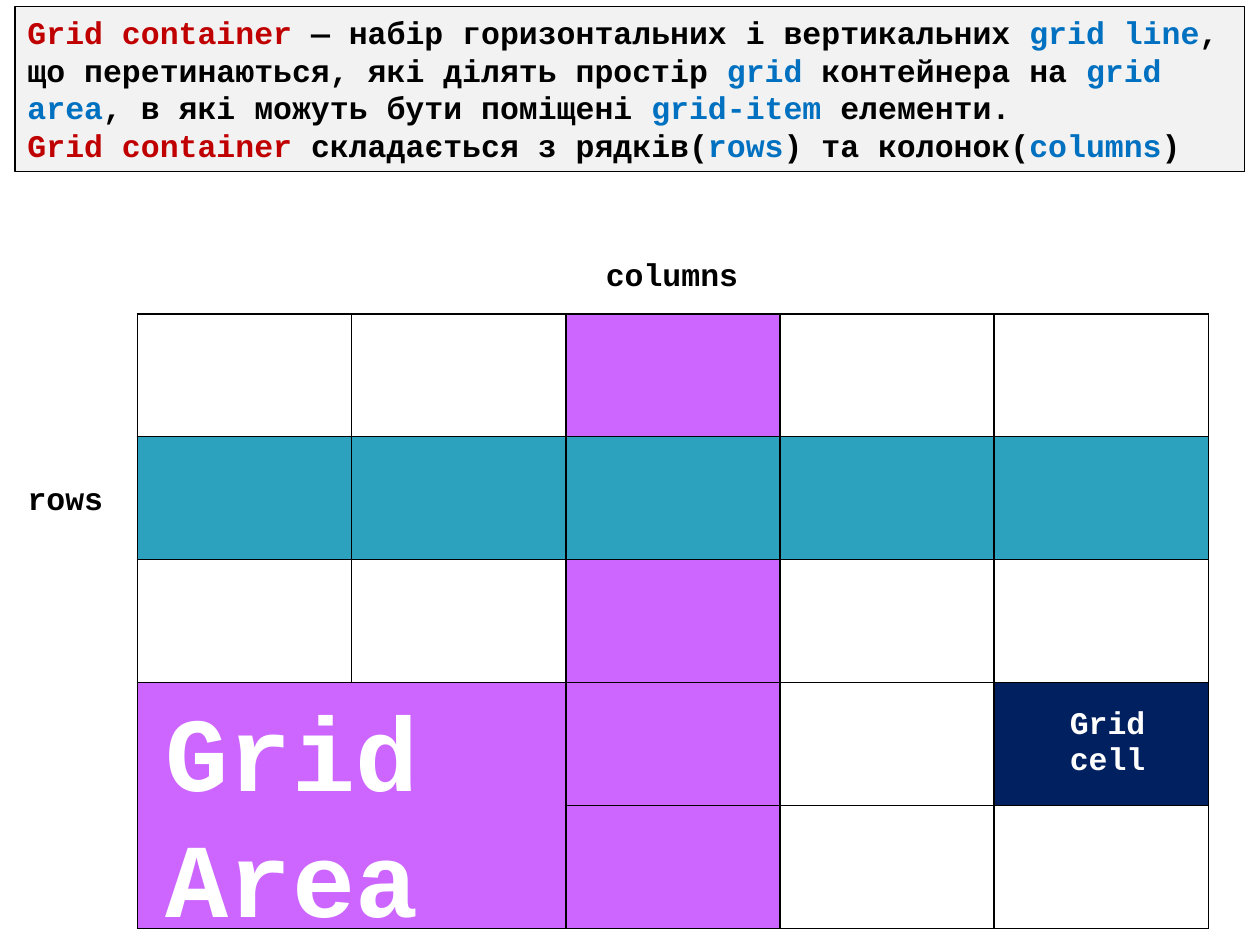
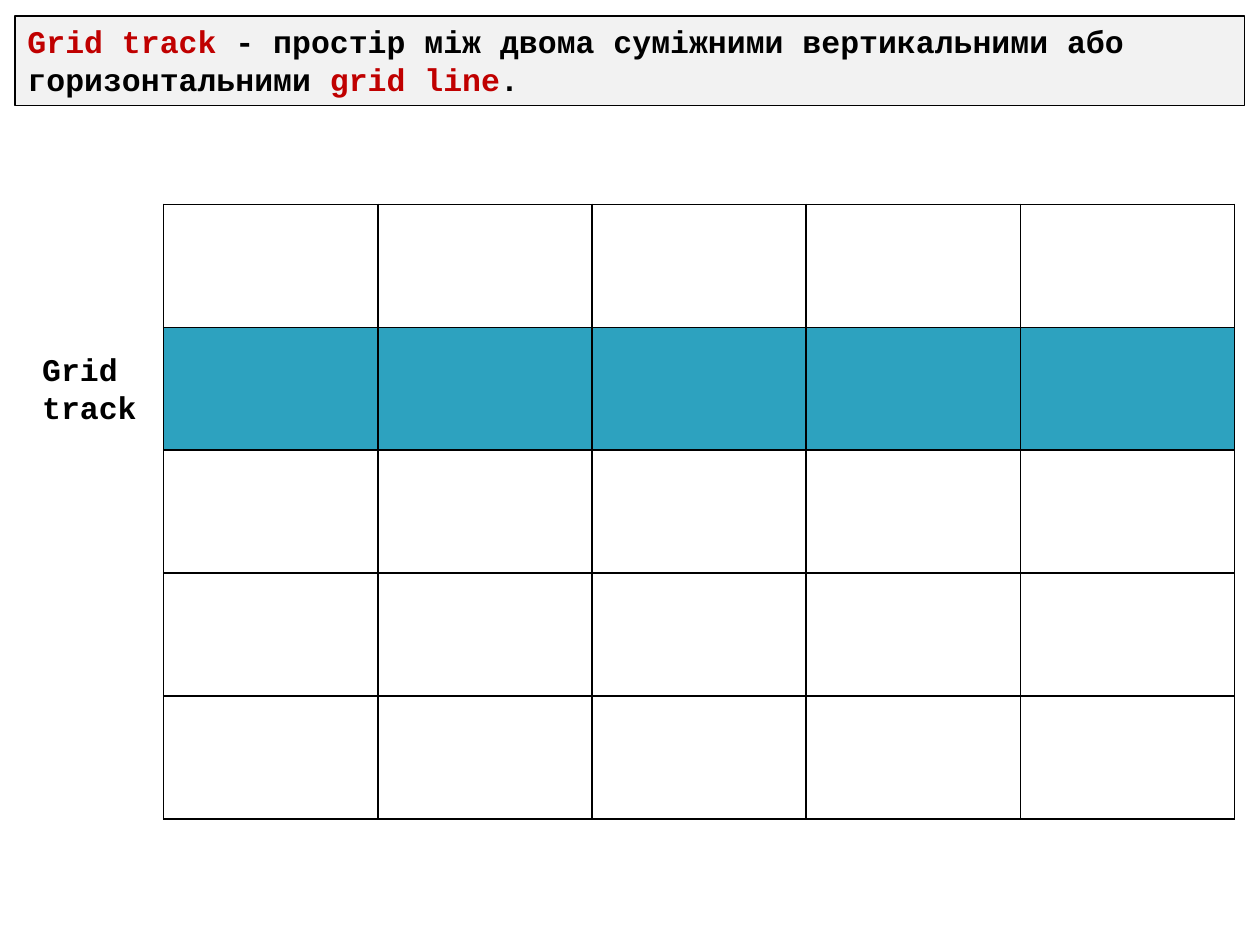
from lxml import etree
from pptx import Presentation
from pptx.dml.color import RGBColor
from pptx.enum import shapes, text
from pptx.oxml import ns
from pptx.util import Pt

# Shared style
COLOURS = {"black": "000000", "white": "FFFFFF", "red": "C00000", "blue": "0070C0",
           "band": "F2F2F2", "teal": "2DA2BF", "purple": "CC66FF", "navy": "002060"}
FONT, TEXT_SIZE = "Courier New", 18
BAND_LEFT, BAND_WIDTH = 8.64, 702.7
GRID_SIZE, CELL_WIDTH, CELL_HEIGHT = 5, 122.4, 70.27
SIDES = ("L", "R", "T", "B")

# Content: regions are (first row, last row, first column, last column, colour, opacity %);
# later regions cover earlier ones, and an area loses its inner lines
SLIDES = [
    {
        "band": (3.8, 94.3),
        "definition": [
            [("Grid container ", "red"), ("— набір горизонтальних і вертикальних ", "black"),
             ("grid line", "blue"), (", що перетинаються, які ділять простір ", "black"),
             ("grid ", "blue"), ("контейнера на ", "black"), ("grid area", "blue"),
             (", в які можуть бути поміщені ", "black"), ("grid-item ", "blue"),
             ("елементи.", "black")],
            [("Grid container ", "red"), ("складається з рядків(", "black"), ("rows", "blue"),
             (") та колонок(", "black"), ("columns", "blue"), (")", "black")],
        ],
        "grid": (78.5, 179.3),
        "regions": [(0, 4, 2, 2, "purple", 37), (1, 1, 0, 4, "teal", 75),
                    (3, 4, 0, 1, "purple", 100), (3, 3, 4, 4, "navy", 100)],
        "area": (3, 4, 0, 1),
        "cell_label": (3, 4, "Grid cell"),
        "labels": [(["columns"], (339.1, 142, 90.7, 29), TEXT_SIZE, "black"),
                   (["rows"], (8.64, 270, 58.3, 29), TEXT_SIZE, "black"),
                   (["Grid", "Area"], (87.8, 388.8, 196.6, 152.6), 60, "white")],
    },
    {
        "band": (9.2, 51),
        "definition": [
            [("Grid track ", "red"),
             ("- простір між двома суміжними вертикальними або горизонтальними ", "black"),
             ("grid line", "red"), (".", "black")],
        ],
        "grid": (93.5, 116.8),
        "regions": [(1, 1, 0, 4, "teal", 100)],
        "labels": [(["Grid", "track"], (17, 196.7, 69.1, 51), TEXT_SIZE, "black")],
    },
]


def rgb(name):
    return RGBColor.from_string(COLOURS[name])


def set_font(font, size=TEXT_SIZE, colour=None):
    font.name, font.size, font.bold = FONT, Pt(size), True
    if colour:
        font.color.rgb = rgb(colour)


def paragraphs(frame, count):
    return [frame.paragraphs[0]] + [frame.add_paragraph() for _ in range(count - 1)]


def add_band(page, top, height, definition):
    box = page.shapes.add_shape(shapes.MSO_SHAPE.RECTANGLE, Pt(BAND_LEFT), Pt(top),
                                Pt(BAND_WIDTH), Pt(height))
    box.shadow.inherit = False
    box.fill.solid()
    box.fill.fore_color.rgb = rgb("band")
    box.line.color.rgb = rgb("black")
    box.line.width = Pt(0.75)
    frame = box.text_frame
    frame.word_wrap = True
    frame.vertical_anchor = text.MSO_ANCHOR.TOP
    for para, spans in zip(paragraphs(frame, len(definition)), definition):
        para.alignment = text.PP_ALIGN.LEFT
        set_font(para.font)
        for words, colour in spans:
            span = para.add_run()
            span.text = words
            set_font(span.font, colour=colour)


def add_label(page, lines, place, size, colour):
    box = page.shapes.add_textbox(*map(Pt, place))
    frame = box.text_frame
    frame.word_wrap = False
    for para, line in zip(paragraphs(frame, len(lines)), lines):
        para.text = line
        set_font(para.font, size, colour)


def contains(region, row, column):
    top, bottom, left, right = region[:4]
    return top <= row <= bottom and left <= column <= right


def draw_borders(cell, hidden):
    properties = cell._tc.get_or_add_tcPr()
    for side in SIDES:
        line = etree.SubElement(properties, ns.qn("a:ln" + side), w=str(Pt(1)))
        if side in hidden:
            etree.SubElement(line, ns.qn("a:noFill"))
        else:
            fill = etree.SubElement(line, ns.qn("a:solidFill"))
            etree.SubElement(fill, ns.qn("a:srgbClr"), val=COLOURS["black"])


def fill_cell(cell, colour, opacity):
    cell.fill.solid()
    cell.fill.fore_color.rgb = rgb(colour)
    if opacity < 100:
        tint = cell._tc.tcPr.find(".//" + ns.qn("a:srgbClr"))
        etree.SubElement(tint, ns.qn("a:alpha"), val=str(opacity * 1000))


def inner_sides(area, row, column):
    if not area or not contains(area, row, column):
        return []
    neighbours = ((row, column - 1), (row, column + 1), (row - 1, column), (row + 1, column))
    return [side for side, place in zip(SIDES, neighbours) if contains(area, *place)]


def add_grid(page, left, top, regions, area):
    table = page.shapes.add_table(GRID_SIZE, GRID_SIZE, Pt(left), Pt(top),
                                  Pt(GRID_SIZE * CELL_WIDTH),
                                  Pt(GRID_SIZE * CELL_HEIGHT)).table
    table.first_row = table.horz_banding = False
    for column in table.columns:
        column.width = Pt(CELL_WIDTH)
    for row in table.rows:
        row.height = Pt(CELL_HEIGHT)
    for row in range(GRID_SIZE):
        for column in range(GRID_SIZE):
            cell = table.cell(row, column)
            draw_borders(cell, inner_sides(area, row, column))
            covering = [region for region in regions if contains(region, row, column)]
            if covering:
                fill_cell(cell, *covering[-1][4:])
            else:
                cell.fill.background()
    return table


def label_cell(table, row, column, words):
    cell = table.cell(row, column)
    cell.vertical_anchor = text.MSO_ANCHOR.MIDDLE
    para = cell.text_frame.paragraphs[0]
    para.text = words
    para.level = 1
    indent = para._p.get_or_add_pPr()
    indent.set("marL", str(Pt(36)))
    indent.set("indent", "0")
    set_font(para.font, colour="white")


def main():
    deck = Presentation()
    deck.slide_width, deck.slide_height = Pt(720), Pt(540)
    for content in SLIDES:
        page = deck.slides.add_slide(deck.slide_layouts[6])
        add_band(page, *content["band"], content["definition"])
        table = add_grid(page, *content["grid"], content["regions"], content.get("area"))
        if "cell_label" in content:
            label_cell(table, *content["cell_label"])
        for label in content["labels"]:
            add_label(page, *label)
    deck.save("out.pptx")


if __name__ == "__main__":
    main()
